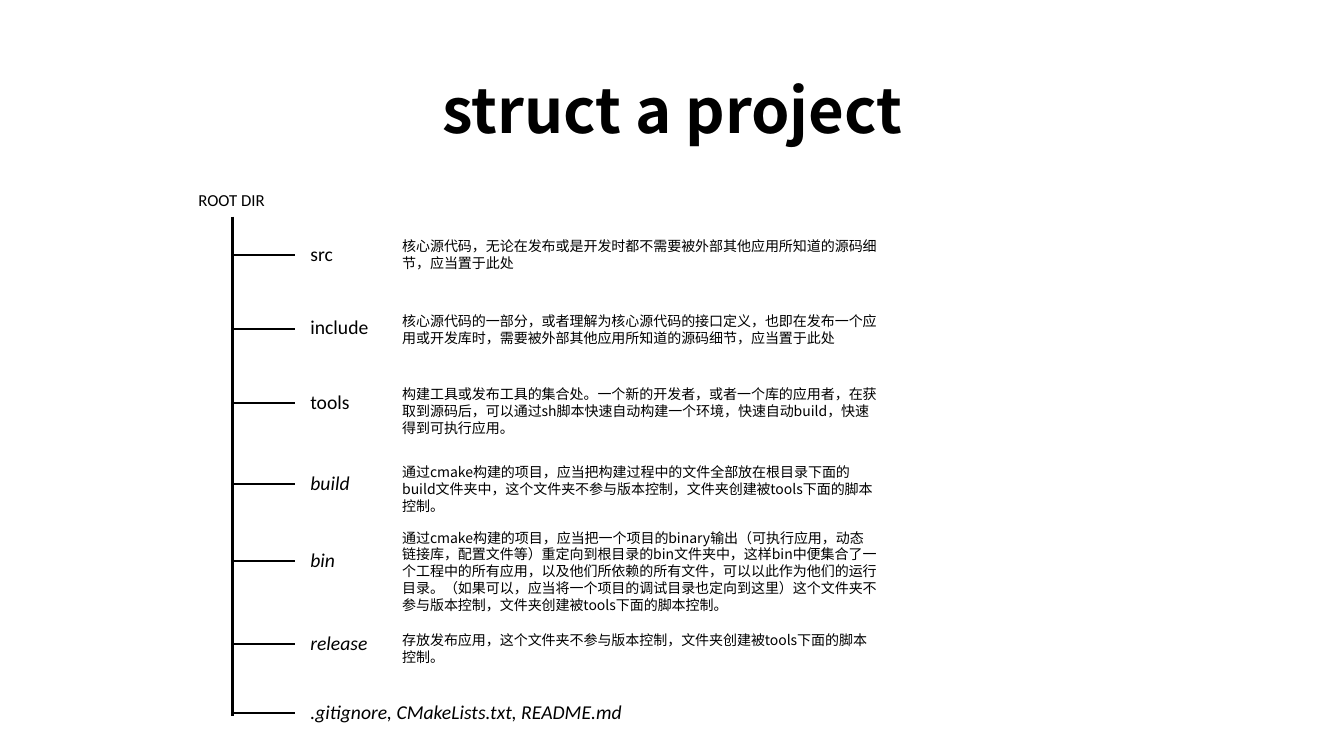
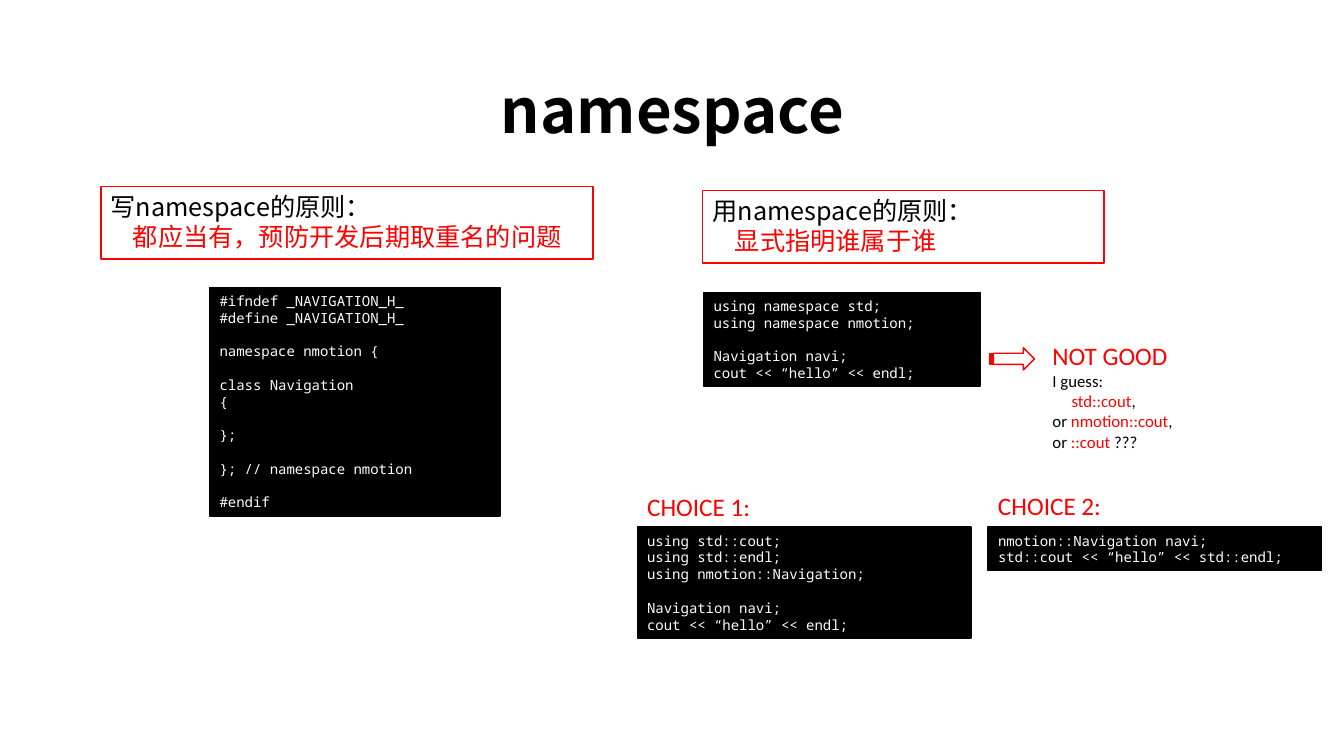
import pptx
import pptx.util
import pptx.dml.color
import pptx.enum.shapes
import pptx.enum.text
import pptx.oxml
import pptx.oxml.ns
import dataclasses


@dataclasses.dataclass(frozen=True)
class Theme:
    """Colours, fonts and type sizes of the deck."""
    black = pptx.dml.color.RGBColor(0, 0, 0)
    white = pptx.dml.color.RGBColor(255, 255, 255)
    red = pptx.dml.color.RGBColor(255, 0, 0)
    han: str = "Noto Sans CJK SC"
    mono: str = "Noto Sans Mono"
    sans: str = "Calibri"
    title: int = 44
    head: int = 18
    label: int = 14
    small: int = 12
    note: int = 10


theme = Theme()
kinds = pptx.enum.shapes.MSO_SHAPE
fit = pptx.enum.text.MSO_AUTO_SIZE
anchors = pptx.enum.text.MSO_ANCHOR
aligns = pptx.enum.text.PP_ALIGN

# The grid has square cells, a tenth of an inch on each side.
cell = pptx.util.Inches(0.1)
deck = pptx.Presentation()
deck.slide_width = pptx.util.Inches(13.33)
deck.slide_height = 75 * cell
blank = deck.slide_layouts[6]


def write(slide, box, lines, font, fill=None, edge=None, frame=None, form=None):
    """Put lines of (runs, size, indent, gap, hue) in a box of grid cells."""
    place = [round(part * cell) for part in box]
    if fill is None:
        shape = slide.shapes.add_textbox(*place)
    else:
        shape = slide.shapes.add_shape(kinds.RECTANGLE, *place)
        shape.shadow.inherit = False
        shape.fill.solid()
        shape.fill.fore_color.rgb = fill
        shape.line.color.rgb = edge
        shape.line.width = pptx.util.Pt(1)
    text = shape.text_frame
    look = {"word_wrap": True, "auto_size": fit.SHAPE_TO_FIT_TEXT,
            "vertical_anchor": anchors.TOP}
    for key, value in {**look, **(frame or {})}.items():
        setattr(text, key, value)
    for index, (runs, size, indent, gap) in enumerate(lines):
        para = text.add_paragraph() if index else text.paragraphs[0]
        para.alignment = aligns.LEFT
        para.space_before = pptx.util.Pt(gap)
        para.line_spacing = 0.9 if size == theme.title else 1.0
        if size == theme.title:
            para.alignment = aligns.CENTER
        if indent:
            props = para._p.get_or_add_pPr()
            props.set("marL", str(round(indent * cell)))
            props.set("indent", "0")
        for words, hue in runs:
            run = para.add_run()
            run.text = words
            run.font.color.rgb = hue
            face = {"name": font, "size": pptx.util.Pt(size), **(form or {})}
            for key, value in face.items():
                setattr(run.font, key, value)
            east = pptx.oxml.ns.qn("a:ea")
            run.font._element.makeelement(east)
            latin = run.font._element.find(pptx.oxml.ns.qn("a:latin"))
            latin.addnext(latin.makeelement(east, {"typeface": font}))


def stroke(slide, ends, width):
    """Draw a black line between two points of the grid."""
    line = slide.shapes.add_connector(
        pptx.enum.shapes.MSO_CONNECTOR.STRAIGHT,
        *[round(part * cell) for part in ends])
    line.line.color.rgb = theme.black
    line.line.width = pptx.util.Pt(width)
    props = line._element.spPr
    props.append(props.makeelement(pptx.oxml.ns.qn("a:effectLst")))


# Both slides share the title style.
slides = []
for name in ("struct a project", "namespace"):
    slide = deck.slides.add_slide(blank)
    write(slide, (9.2, 4, 115, 14.5),
          [([(name, theme.black)], theme.title, 0, 0)], theme.han,
          frame={"auto_size": fit.NONE, "vertical_anchor": anchors.MIDDLE},
          form={"bold": True})
    slides.append(slide)
tree, names = slides

# Project tree: trunk, then one branch, label and note a row.
trunk, tip, label, note = 23.1, 29.3, 29.8, 38.9
stroke(tree, (trunk, 21.5, trunk, 71), 2.25)
write(tree, (18.7, 18.3, 8.7, 3),
      [([("ROOT DIR", theme.black)], theme.small, 0, 0)], theme.sans)
# Each row: height of branch, name, italic, top of note, note.
rows = [
    (25.3, "src", False, 23.1,
     "核心源代码，无论在发布或是开发时都不需要被外部其他应用所知道的源码细节，应当置于此处"),
    (32.6, "include", False, 30.5,
     "核心源代码的一部分，或者理解为核心源代码的接口定义，也即在发布一个应用或开发库时，"
     "需要被外部其他应用所知道的源码细节，应当置于此处"),
    (40, "tools", False, 37.8,
     "构建工具或发布工具的集合处。一个新的开发者，或者一个库的应用者，在获取到源码后，"
     "可以通过sh脚本快速自动构建一个环境，快速自动build，快速得到可执行应用。"),
    (48, "build", True, 45.5,
     "通过cmake构建的项目，应当把构建过程中的文件全部放在根目录下面的build文件夹中，"
     "这个文件夹不参与版本控制，文件夹创建被tools下面的脚本控制。"),
    (55.7, "bin", True, 52,
     "通过cmake构建的项目，应当把一个项目的binary输出（可执行应用，动态链接库，配置文件等）"
     "重定向到根目录的bin文件夹中，这样bin中便集合了一个工程中的所有应用，"
     "以及他们所依赖的所有文件，可以以此作为他们的运行目录。"
     "（如果可以，应当将一个项目的调试目录也定向到这里）"
     "这个文件夹不参与版本控制，文件夹创建被tools下面的脚本控制。"),
    (63.9, "release", True, 62.2,
     "存放发布应用，这个文件夹不参与版本控制，文件夹创建被tools下面的脚本控制。"),
    (70.7, ".gitignore, CMakeLists.txt, README.md", True, None, ""),
]
for level, name, slant, top, words in rows:
    stroke(tree, (trunk, level, tip, level), 1.5)
    write(tree, (label, level - 1.8, 8.7 if words else 45.1, 3.4),
          [([(name, theme.black)], theme.label, 0, 0)], theme.sans,
          form={"italic": slant})
    if words:
        write(tree, (note, top, 49.1, 4.5),
              [([(words, theme.black)], theme.note, 0, 0)], theme.han)

# Rules in red frames.
rules = [
    ((10, 18.5, 48.8, 7.2), "写namespace的原则：", "都应当有，预防开发后期取重名的问题"),
    ((69.7, 18.9, 39.8, 7.2), "用namespace的原则：", "显式指明谁属于谁"),
]
for box, head, rule in rules:
    write(names, box, [([(head, theme.black)], theme.head, 0, 0),
                       ([(rule, theme.red)], theme.head, 2.2, 0)],
          theme.han, theme.white, theme.red)

# Code panels; an empty line in the code becomes space before the next one.
panels = [
    ((20.8, 28.5, 28.8, 22.7), """#ifndef _NAVIGATION_H_
#define _NAVIGATION_H_

namespace nmotion {

class Navigation
{

};

}; // namespace nmotion

#endif"""),
    ((69.8, 29, 27.4, 9.3), """using namespace std;
using namespace nmotion;

Navigation navi;
cout << “hello” << endl;"""),
    ((63.2, 52.3, 33.1, 11), """using std::cout;
using std::endl;
using nmotion::Navigation;

Navigation navi;
cout << “hello” << endl;"""),
    ((98, 52.3, 33.1, 4.3), """nmotion::Navigation navi;
std::cout << “hello” << std::endl;"""),
]
for box, code in panels:
    lines, gap = [], 0
    for words in code.split("\n"):
        if words:
            lines.append(([(words, theme.white)], theme.note, 0, gap))
        gap = 0 if words else 12
    write(names, box, lines, theme.mono, theme.black, theme.black)

# Verdict on the first use, with its arrow.
black, red = theme.black, theme.red
write(names, (103.4, 33.3, 14, 12), [
    ([("NOT GOOD", red)], theme.head, 0, 0),
    ([("I guess:", black)], theme.small, 0, 0),
    ([("std::cout", red), (",", black)], theme.small, 1.9, 0),
    ([("or ", black), ("nmotion::cout", red), (",", black)], theme.small, 0, 0),
    ([("or ", black), ("::cout", red), (" ???", black)], theme.small, 0, 0),
], theme.sans)
arrow = names.shapes.add_shape(
    kinds.STRIPED_RIGHT_ARROW,
    *[round(part * cell) for part in (98.2, 34.5, 4.4, 2.2)])
arrow.shadow.inherit = False
arrow.fill.background()
arrow.line.color.rgb = red
arrow.line.width = pptx.util.Pt(1)

for left, top, choice in ((63.2, 48.3, "CHOICE 1:"), (98, 48.2, "CHOICE 2:")):
    write(names, (left, top, 14, 4),
          [([(choice, red)], theme.head, 0, 0)], theme.sans)

deck.save("out.pptx")
